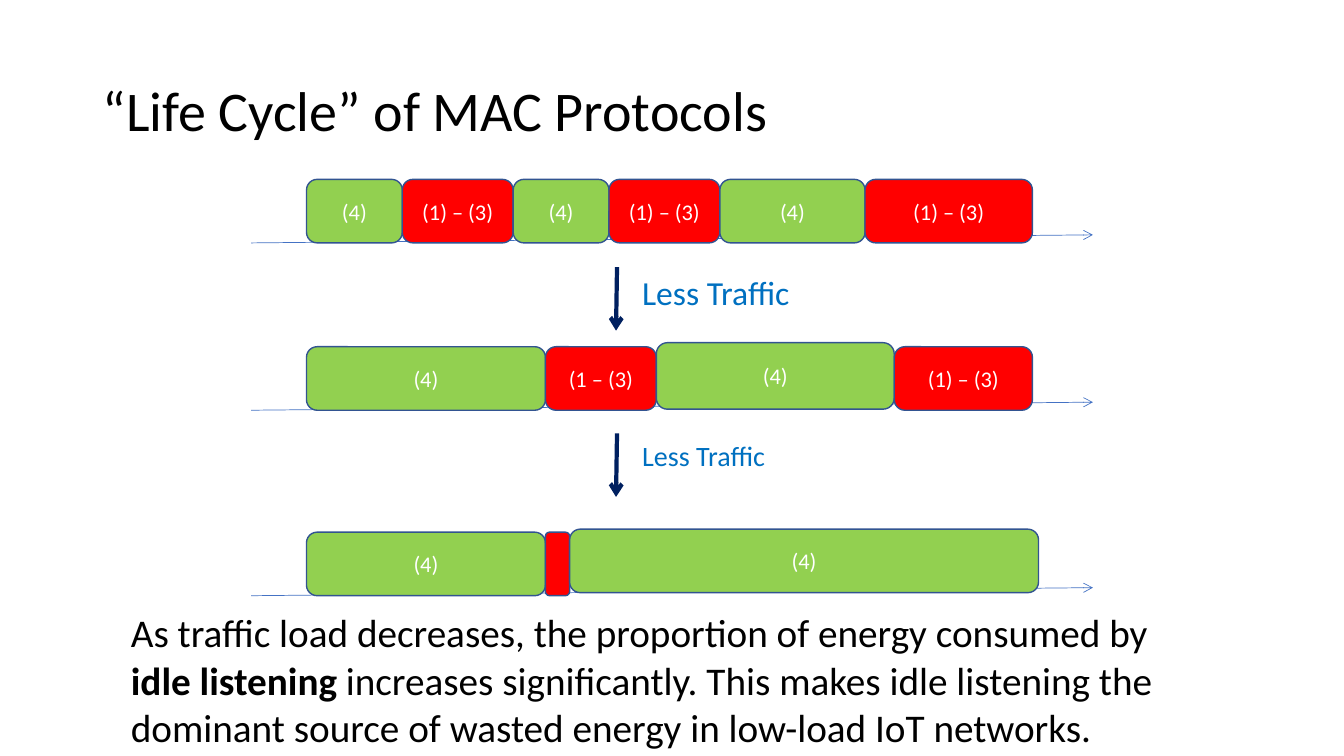
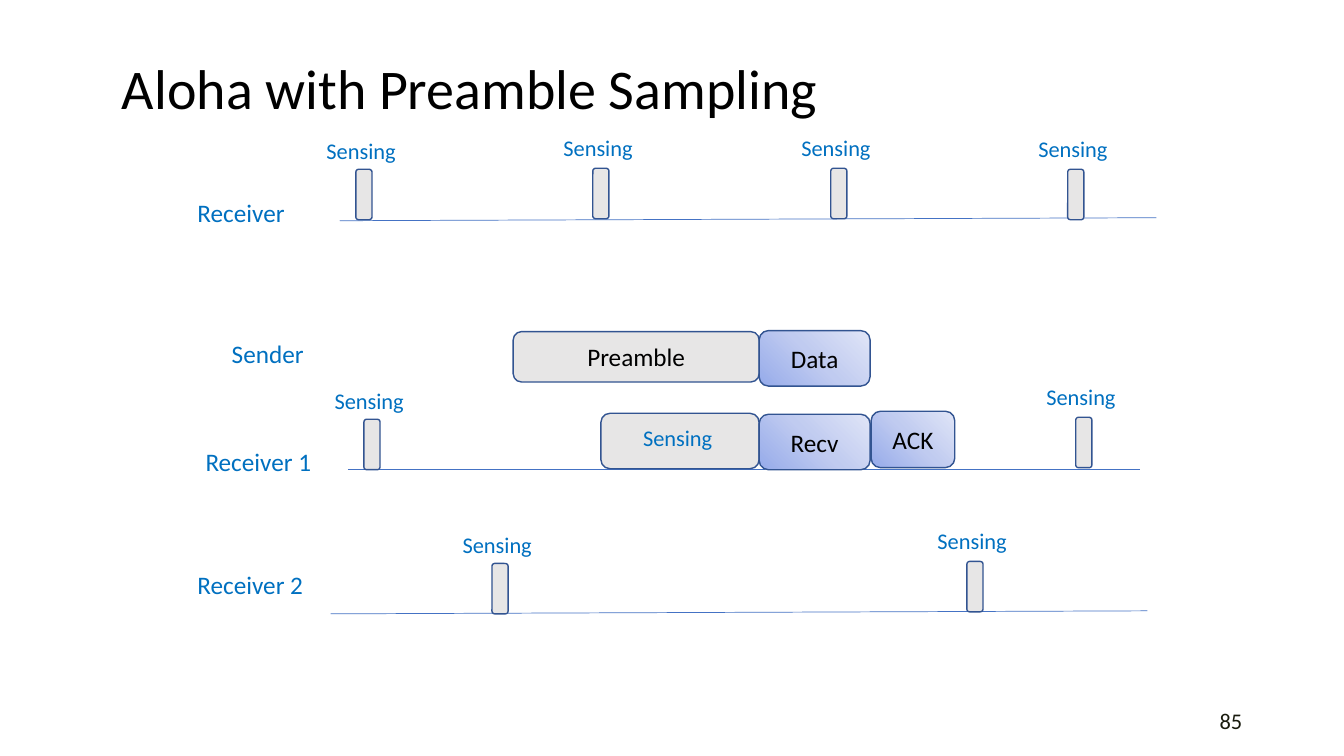
from dataclasses import dataclass

from pptx import Presentation
from pptx import util as u
from pptx.dml.color import RGBColor
from pptx.enum import shapes, text
from pptx.oxml import parse_xml
from pptx.oxml.ns import nsdecls, qn


@dataclass(frozen=True)
class Theme:
    font: str = "Calibri"
    ink: str = "000000"
    number: str = "191B0E"
    white: str = "FFFFFF"
    label: str = "0070C0"
    idle: str = "92D050"
    busy: str = "FF0000"
    sensing: str = "E7E6E6"
    packet: tuple = ("96ABEA", "C0CBF0", "E0E5F7")
    outline: str = "325491"
    axis: str = "4472C4"
    arrow: str = "002060"
    title_pt: int = 40
    body_pt: int = 28
    big_pt: int = 24
    medium_pt: int = 20
    lane_pt: int = 18
    small_pt: int = 16


T = Theme()
ALIGN = text.PP_ALIGN
ANCHOR = text.MSO_ANCHOR


def rgb(value):
    return RGBColor.from_string(value)


def inches(*values):
    return [u.Inches(v) for v in values]


def add_run(p, words, size, color, bold=False):
    r = p.add_run()
    r.text = words
    r.font.name = T.font
    r.font.size = u.Pt(size)
    r.font.bold = bold
    r.font.color.rgb = rgb(color)


def add_slide(prs, title, box):
    s = prs.slides.add_slide(prs.slide_layouts[5])
    sp = s.shapes.title
    sp.left, sp.top, sp.width, sp.height = inches(*box)
    tf = sp.text_frame
    tf.word_wrap = True
    tf.auto_size = text.MSO_AUTO_SIZE.NONE
    tf.vertical_anchor = ANCHOR.MIDDLE
    p = tf.paragraphs[0]
    p.alignment = ALIGN.LEFT
    p.line_spacing = 0.9
    add_run(p, title, T.title_pt, T.ink)
    return s


def add_text(s, box, runs, size, color=T.label, wrap=False,
             align=ALIGN.LEFT, anchor=ANCHOR.TOP):
    """Add a text box; runs is a list of (words, bold) pairs."""
    tf = s.shapes.add_textbox(*inches(*box)).text_frame
    tf.word_wrap = wrap
    tf.vertical_anchor = anchor
    p = tf.paragraphs[0]
    p.alignment = align
    for words, bold in runs:
        add_run(p, words, size, color, bold)


def add_line(s, start, end, color, width, arrow=False):
    cx = s.shapes.add_connector(shapes.MSO_CONNECTOR.STRAIGHT,
                                *inches(*start, *end))
    cx.line.color.rgb = rgb(color)
    cx.line.width = u.Pt(width)
    if arrow:
        cx.line._get_or_add_ln().append(
            parse_xml(f'<a:tailEnd {nsdecls("a")} type="arrow"/>'))
    cx._element.spPr.append(parse_xml(f'<a:effectLst {nsdecls("a")}/>'))


def fill_corner_gradient(sp, colors):
    """Fill with a gradient that spreads from the lower left corner."""
    step = 100000 // (len(colors) - 1)
    stops = "".join(
        f'<a:gs pos="{i * step}"><a:srgbClr val="{c}"/></a:gs>'
        for i, c in enumerate(colors))
    sp.fill.gradient()
    props = sp._element.spPr
    props.replace(props.find(qn("a:gradFill")), parse_xml(
        f'<a:gradFill {nsdecls("a")} rotWithShape="1">'
        f'<a:gsLst>{stops}</a:gsLst><a:path path="circle">'
        '<a:fillToRect t="100000" r="100000"/></a:path></a:gradFill>'))


def add_block(s, box, fill, words="", size=T.lane_pt, color=T.ink):
    sp = s.shapes.add_shape(shapes.MSO_SHAPE.ROUNDED_RECTANGLE, *inches(*box))
    sp.shadow.inherit = False
    if isinstance(fill, tuple):
        fill_corner_gradient(sp, fill)
    else:
        sp.fill.solid()
        sp.fill.fore_color.rgb = rgb(fill)
    sp.line.color.rgb = rgb(T.outline)
    sp.line.width = u.Pt(1)
    if words:
        tf = sp.text_frame
        tf.vertical_anchor = ANCHOR.MIDDLE
        p = tf.paragraphs[0]
        p.alignment = ALIGN.CENTER
        add_run(p, words, size, color)


def add_cycle(s, left, top, blocks):
    """Lay blocks (words, width, lift, extra height) end to end on an axis."""
    height = 0.63
    base = top + height
    add_line(s, (left - 0.55, base), (left + 7.8, base - 0.08),
             T.axis, 0.5, arrow=True)
    for words, width, lift, extra in blocks:
        add_block(s, (left, top - lift, width, height + extra),
                  T.idle if words == "(4)" else T.busy,
                  words, T.small_pt, T.white)
        left += width


def add_less_traffic(s, left, top, width, height, size):
    add_line(s, (left, top), (left - 0.01, top + 0.63), T.arrow, 3, arrow=True)
    add_text(s, (left + 0.15, top, width, height),
             [("Less Traffic", False)], size)


def add_lane_label(s, left, top, width, words):
    add_text(s, (left, top, width, 0.4), [(words, False)], T.lane_pt)


def add_sensing_label(s, left, top):
    add_text(s, (left, top, 0.9, 0.37), [("Sensing", False)], T.small_pt)


def add_receiver(s, label, start, end, ticks):
    """Draw a receiver's axis, its label and its (left, top) sensing ticks."""
    add_lane_label(s, *label)
    add_line(s, start, end, T.axis, 0.5)
    for i, (left, top) in enumerate(ticks):
        add_block(s, (left, top, 0.16, 0.5), T.sensing)
        add_sensing_label(s, left - 0.39, top - (0.39 if i else 0.37))


def build_life_cycle(prs):
    s = add_slide(prs, "“Life Cycle” of MAC Protocols", (0.92, 0.4, 11.5, 1.45))
    idle, busy = "(4)", "(1) – (3)"
    left = 3.04
    add_cycle(s, left, 1.78, [
        (idle, 0.95, 0, 0), (busy, 1.1, 0, 0), (idle, 0.95, 0, 0),
        (busy, 1.1, 0, 0), (idle, 1.44, 0, 0), (busy, 1.66, 0, 0)])
    add_less_traffic(s, 6.12, 2.65, 1.66, 0.5, T.big_pt)
    add_cycle(s, left, 3.44, [
        (idle, 2.37, 0, 0), ("(1 – (3)", 1.1, 0, 0),
        (idle, 2.36, 0.04, 0.03), (busy, 1.37, 0, 0)])
    add_less_traffic(s, 6.12, 4.3, 1.42, 0.44, T.medium_pt)
    add_cycle(s, left, 5.28, [
        (idle, 2.37, 0, 0), ("", 0.24, 0, 0), (idle, 4.65, 0.03, 0)])
    add_text(s, (1.2, 5.99, 10.93, 1.51), [
        ("As traffic load decreases, the proportion of energy consumed by ",
         False),
        ("idle listening", True),
        (" increases significantly. This makes idle listening the dominant "
         "source of wasted energy in low-load IoT networks.", False),
    ], T.body_pt, T.ink, wrap=True)


def build_preamble_sampling(prs):
    s = add_slide(prs, "Aloha with Preamble Sampling", (1.11, 0.1, 8.36, 1.62))
    add_text(s, (9.42, 6.95, 3, 0.4), [("85", False)], T.small_pt, T.number,
             wrap=True, align=ALIGN.RIGHT, anchor=ANCHOR.MIDDLE)

    add_receiver(s, (1.86, 1.91, 1.08, "Receiver"), (3.37, 2.19), (11.47, 2.16),
                 [(3.53, 1.68), (5.88, 1.67), (8.24, 1.67), (10.59, 1.68)])

    add_lane_label(s, 2.2, 3.31, 0.92, "Sender")
    add_block(s, (5.09, 3.29, 2.44, 0.5), T.sensing, "Preamble")
    add_block(s, (7.53, 3.28, 1.1, 0.55), T.packet, "Data")

    add_receiver(s, (1.94, 4.38, 1.26, "Receiver 1"), (3.45, 4.66),
                 (11.31, 4.66), [(3.61, 4.16), (10.67, 4.14)])
    add_block(s, (5.96, 4.1, 1.57, 0.55), T.sensing)
    add_sensing_label(s, 6.28, 4.16)
    add_block(s, (8.64, 4.08, 0.83, 0.56), T.packet, "ACK")
    add_block(s, (7.53, 4.11, 1.1, 0.55), T.packet, "Recv")

    add_receiver(s, (1.86, 5.6, 1.26, "Receiver 2"), (3.28, 6.09),
                 (11.38, 6.06), [(4.88, 5.59), (9.59, 5.57)])


def main():
    prs = Presentation()
    prs.slide_width, prs.slide_height = inches(13.33, 7.5)
    build_life_cycle(prs)
    build_preamble_sampling(prs)
    prs.save("out.pptx")


if __name__ == "__main__":
    main()
